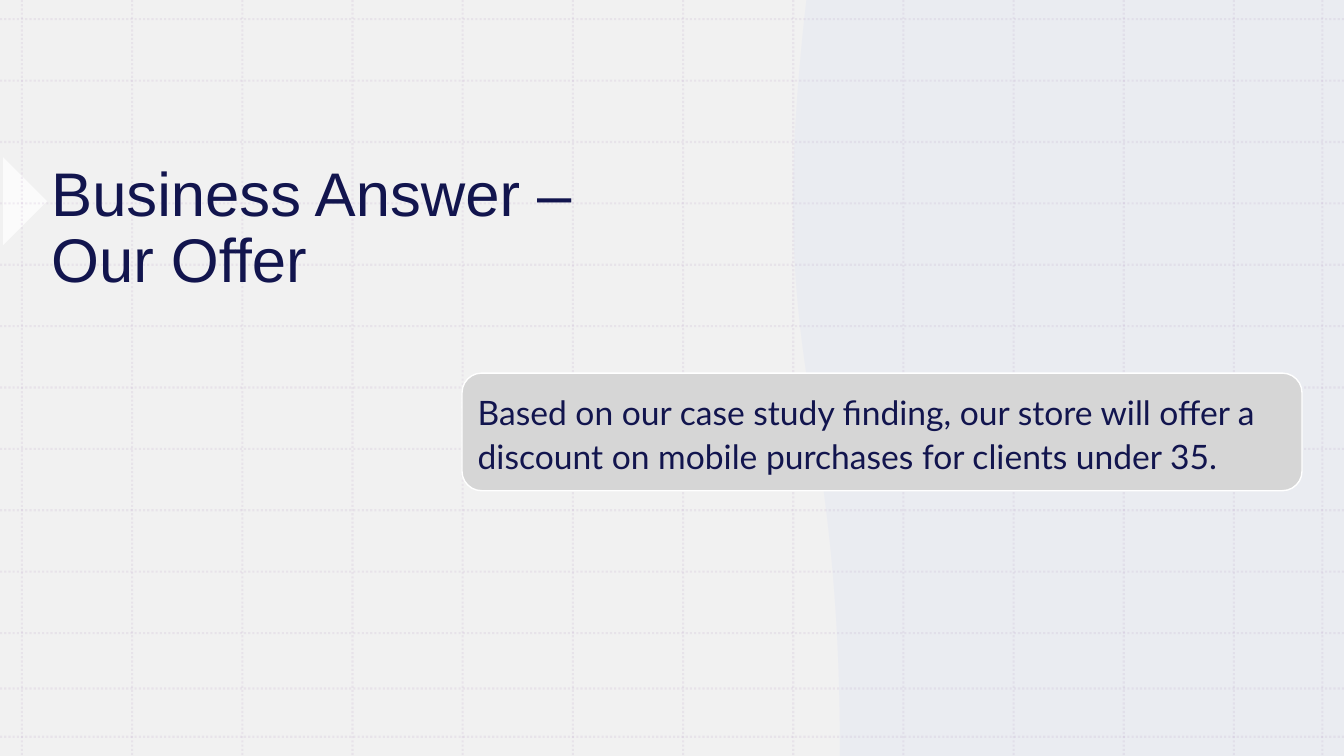
from collections import namedtuple
from dataclasses import dataclass

from pptx import Presentation, util as u
from pptx.dml.color import RGBColor
from pptx.enum import dml, shapes, text
from pptx.oxml import ns, xmlchemy

Box = namedtuple("Box", "left top width height")


@dataclass(frozen=True)
class Theme:
    ink: str = "12154E"
    paper: str = "EEEEEE"
    wave: str = "E9EBF1"
    grid: str = "B495C2"
    panel: str = "D6D6D6"
    white: str = "FFFFFF"
    title_font: str = "Arial"
    body_font: str = "Lato"
    title_size: float = 44
    body_size: float = 24


THEME = Theme()


def set_alpha(part, percent):
    color = part._element.spPr.find(".//" + ns.qn("a:srgbClr"))
    alpha = xmlchemy.OxmlElement("a:alpha")
    alpha.set("val", str(percent * 1000))
    color.append(alpha)


def paint(part, fill, alpha=100, line=None):
    part.shadow.inherit = False
    part.fill.solid()
    part.fill.fore_color.rgb = RGBColor.from_string(fill)
    if alpha < 100:
        set_alpha(part, alpha)
    if line:
        part.line.color.rgb = RGBColor.from_string(line)
        part.line.width = u.Pt(1)
    else:
        part.line.fill.background()


def add_preset(parent, kind, box):
    return parent.add_shape(kind, *(u.Pt(value) for value in box))


def write(part, words, *, font, size, color, spacing, after=0):
    frame = part.text_frame
    frame.word_wrap = True
    frame.vertical_anchor = text.MSO_ANCHOR.MIDDLE
    paragraph = frame.paragraphs[0]
    paragraph.alignment = text.PP_ALIGN.LEFT
    paragraph.line_spacing = spacing
    paragraph.space_after = u.Pt(after)
    run = paragraph.add_run()
    run.text = words
    run.font.name = font
    run.font.size = u.Pt(size)
    run.font.color.rgb = RGBColor.from_string(color)


def draw_backdrop(slide, box):
    # Tinted paper
    paper = add_preset(slide.shapes, shapes.MSO_SHAPE.RECTANGLE, box)
    paint(paper, THEME.paper, alpha=80)

    # Arrow tip at the left edge
    tip_size = 44.5
    tip_box = Box(box.left - 20, box.top + 121.5, tip_size, tip_size)
    tip = add_preset(slide.shapes, shapes.MSO_SHAPE.RIGHT_TRIANGLE, tip_box)
    tip.rotation = 225
    paint(tip, THEME.white, alpha=75)


def draw_wave(slide, box):
    # The left edge is a cubic curve, sampled from bottom to top
    controls = [(600, 540), (600, 270), (545, 270), (576, 0)]
    steps = 60
    edge = []
    for step in range(steps + 1):
        t = step / steps
        weights = ((1 - t) ** 3, 3 * t * (1 - t) ** 2, 3 * t * t * (1 - t), t ** 3)
        edge.append(tuple(sum(w * point[axis] for w, point in zip(weights, controls))
                          for axis in (0, 1)))
    outline = [(box.width, 0), (box.width, box.height)] + edge
    start, *rest = [(u.Pt(box.left + x), u.Pt(box.top + y)) for x, y in outline]
    builder = slide.shapes.build_freeform(*start)
    builder.add_line_segments(rest, close=True)
    paint(builder.convert_to_shape(), THEME.wave, alpha=80)


def draw_grid(slide, box):
    columns = [15.7 + 78.7 * i for i in range(12)] + [944.6]
    rows = [13.7 + 43.85 * i for i in range(11)] + [491.8, 526.3]
    lines = [(x, 0, x, box.height) for x in columns]
    lines += [(0, y, box.width, y) for y in rows]
    grid = slide.shapes.add_group_shape()
    for x1, y1, x2, y2 in lines:
        rule = grid.shapes.add_connector(
            shapes.MSO_CONNECTOR.STRAIGHT,
            u.Pt(box.left + x1), u.Pt(box.top + y1),
            u.Pt(box.left + x2), u.Pt(box.top + y2))
        rule.line.color.rgb = RGBColor.from_string(THEME.grid)
        rule.line.width = u.Pt(1.5)
        rule.line.dash_style = dml.MSO_LINE.ROUND_DOT
        set_alpha(rule, 15)
        rule._element.spPr.append(xmlchemy.OxmlElement("a:effectLst"))


def draw_title(slide, box):
    title = slide.shapes.add_textbox(*(u.Pt(value) for value in box))
    write(title, "Business Answer – Our Offer", font=THEME.title_font,
          size=THEME.title_size, color=THEME.ink, spacing=0.9)


def draw_offer(slide, box):
    offer = add_preset(slide.shapes, shapes.MSO_SHAPE.ROUNDED_RECTANGLE, box)
    paint(offer, THEME.panel, line=THEME.white)
    write(offer, "Based on our case study finding, our store will offer a "
          "discount on mobile purchases for clients under 35.",
          font=THEME.body_font, size=THEME.body_size, color=THEME.ink,
          spacing=1.1, after=6)


def main():
    deck = Presentation()
    page = Box(0, 0, 960, 540)
    deck.slide_width, deck.slide_height = u.Pt(page.width), u.Pt(page.height)
    slide = deck.slides.add_slide(deck.slide_layouts[6])

    # Background, from back to front
    for draw in (draw_backdrop, draw_wave, draw_grid):
        draw(slide, page)

    # Content
    draw_title(slide, Box(29.5, 75.6, 387.4, 176.4))
    draw_offer(slide, Box(330, 266.5, 600, 84))
    deck.save("out.pptx")


main()
